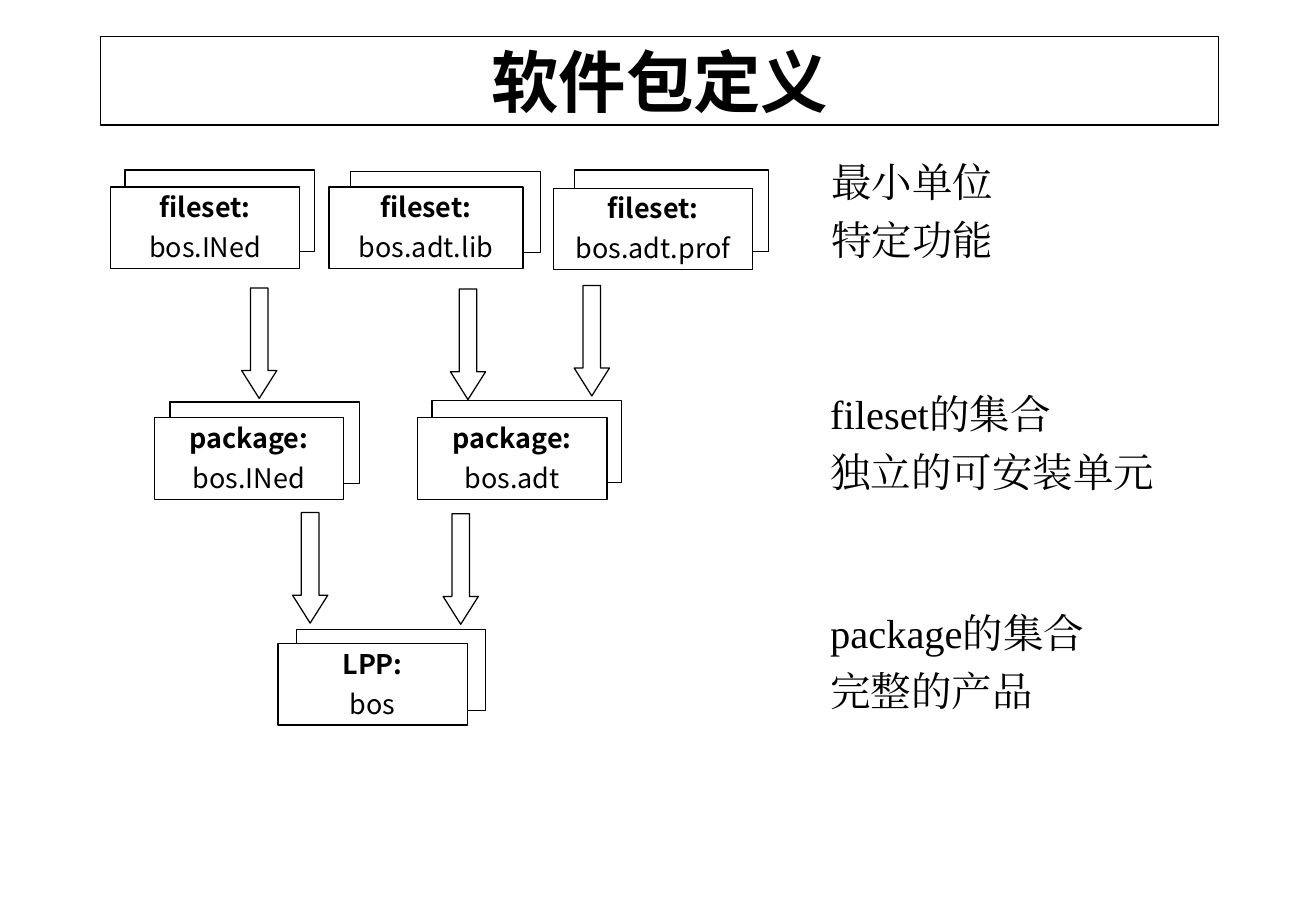
from lxml import etree
from pptx import Presentation
from pptx.dml.color import RGBColor
from pptx.enum.shapes import MSO_SHAPE
from pptx.enum.text import MSO_ANCHOR, PP_ALIGN
from pptx.oxml.ns import qn
from pptx.util import Inches, Pt

RECTANGLE = MSO_SHAPE.RECTANGLE
DOWN_ARROW = MSO_SHAPE.DOWN_ARROW
CENTER, LEFT = PP_ALIGN.CENTER, PP_ALIGN.LEFT
TOP, MIDDLE = MSO_ANCHOR.TOP, MSO_ANCHOR.MIDDLE
SANS, SERIF = "Noto Sans CJK SC", "Times New Roman"
BLACK, WHITE = "000000", "FFFFFF"

CARD_WIDTH, CARD_HEIGHT = 1.56, 0.67
ARROW_WIDTH, ARROW_HEIGHT = 0.29, 0.91
NOTE_HEIGHT = 0.95


def add_outlined(kind, left, top, width, height):
    outlined = slide.shapes.add_shape(
        kind, Inches(left), Inches(top), Inches(width), Inches(height))
    outlined.shadow.inherit = False
    outlined.fill.solid()
    outlined.fill.fore_color.rgb = RGBColor.from_string(WHITE)
    outlined.line.color.rgb = RGBColor.from_string(BLACK)
    outlined.line.width = Pt(0.75)
    return outlined


def write_lines(frame, lines, size, latin, asian, align, anchor, pitch=None, gap=0):
    """Write (text, bold) lines, one paragraph each."""
    frame.word_wrap = True
    frame.vertical_anchor = anchor
    for index, (text, bold) in enumerate(lines):
        paragraph = frame.add_paragraph() if index else frame.paragraphs[0]
        paragraph.alignment = align
        if pitch:
            paragraph.line_spacing = Pt(pitch)
        if index:
            paragraph.space_before = Pt(gap)
        run = paragraph.add_run()
        run.text = text
        run.font.size = Pt(size)
        run.font.bold = bold
        run.font.name = latin
        run.font.color.rgb = RGBColor.from_string(BLACK)
        etree.SubElement(run.font._element, qn("a:ea")).set("typeface", asian)


presentation = Presentation()
presentation.slide_width = Inches(10.84)
presentation.slide_height = Inches(7.5)
slide = presentation.slides.add_slide(presentation.slide_layouts[6])

# Title
title = add_outlined(RECTANGLE, 0.83, 0.3, 9.21, 0.73)
write_lines(title.text_frame, [("软件包定义", True)], 40, SERIF, SANS, CENTER, MIDDLE)

# Stacked cards: level, name, front (left, top, width), back (left, top, width)
cards = [
    ("fileset:", "bos.INed", (0.91, 1.54, CARD_WIDTH), (1.03, 1.4, CARD_WIDTH)),
    ("fileset:", "bos.adt.lib", (2.71, 1.54, 1.6), (2.89, 1.41, CARD_WIDTH)),
    ("fileset:", "bos.adt.prof", (4.56, 1.55, 1.64), (4.73, 1.4, 1.6)),
    ("package:", "bos.INed", (1.27, 3.44, CARD_WIDTH), (1.4, 3.31, CARD_WIDTH)),
    ("package:", "bos.adt", (3.44, 3.44, CARD_WIDTH), (3.56, 3.3, CARD_WIDTH)),
    ("LPP:", "bos", (2.29, 5.3, CARD_WIDTH), (2.44, 5.18, CARD_WIDTH)),
]
for level, name, front, back in cards:
    add_outlined(RECTANGLE, *back, CARD_HEIGHT)
    card = add_outlined(RECTANGLE, *front, CARD_HEIGHT)
    write_lines(card.text_frame, [(level, True), (name, False)],
                16, SANS, SANS, CENTER, TOP, pitch=17.7, gap=6)

# Arrows from each level down to the next
for left, top in [(1.99, 2.37), (3.71, 2.38), (4.73, 2.35), (2.41, 4.22), (3.65, 4.23)]:
    arrow = add_outlined(DOWN_ARROW, left, top, ARROW_WIDTH, ARROW_HEIGHT)
    arrow.adjustments[0] = 0.5
    arrow.adjustments[1] = 0.79

# Explanation of each level
notes = [
    (6.75, 1.29, 2.03, ("最小单位", "特定功能")),
    (6.74, 3.2, 2.95, ("fileset的集合", "独立的可安装单元")),
    (6.74, 5, 2.62, ("package的集合", "完整的产品")),
]
for left, top, width, lines in notes:
    note = slide.shapes.add_textbox(
        Inches(left), Inches(top), Inches(width), Inches(NOTE_HEIGHT))
    write_lines(note.text_frame, [(line, False) for line in lines],
                24, SERIF, SERIF, LEFT, TOP, pitch=25.4, gap=9)

presentation.save("out.pptx")
